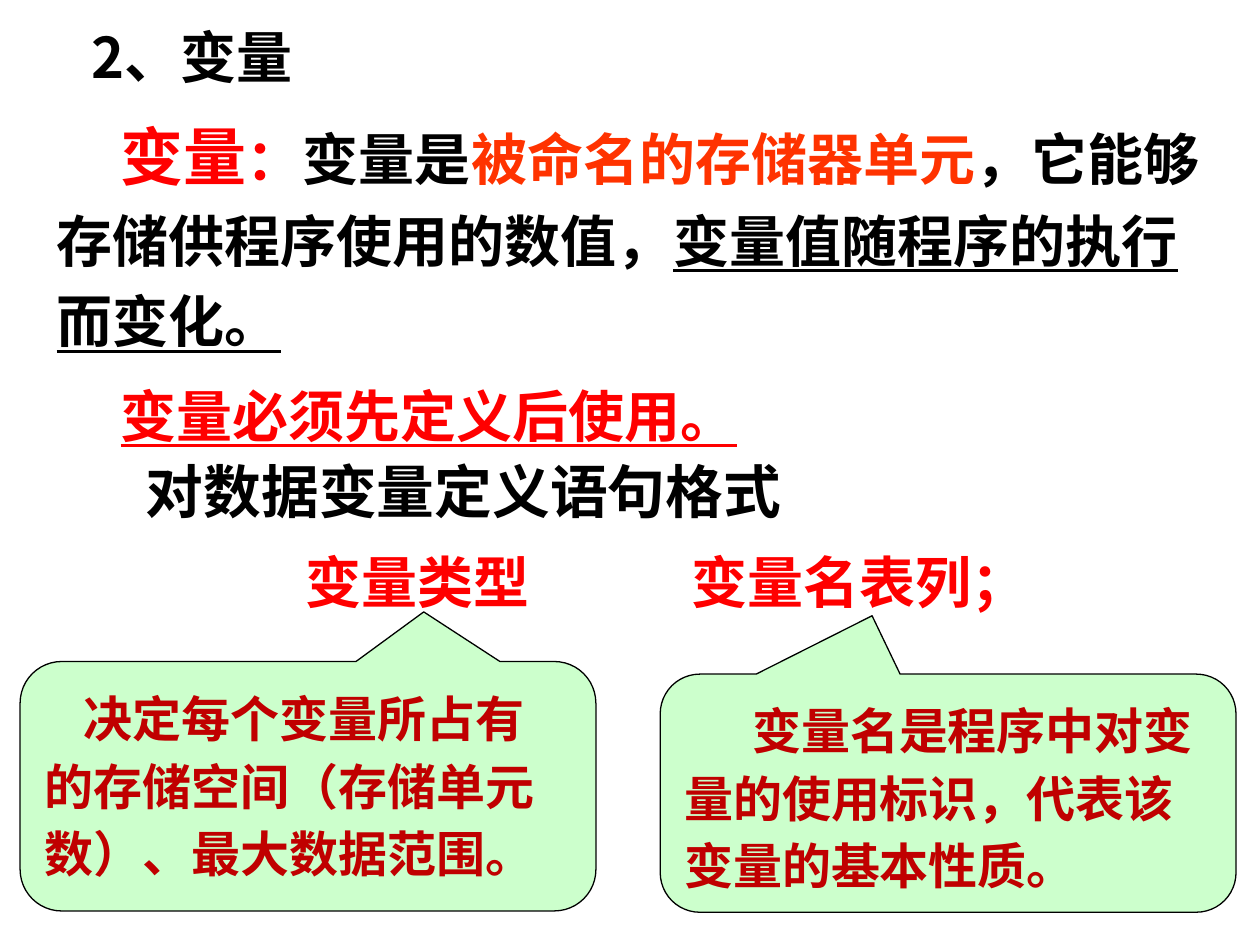
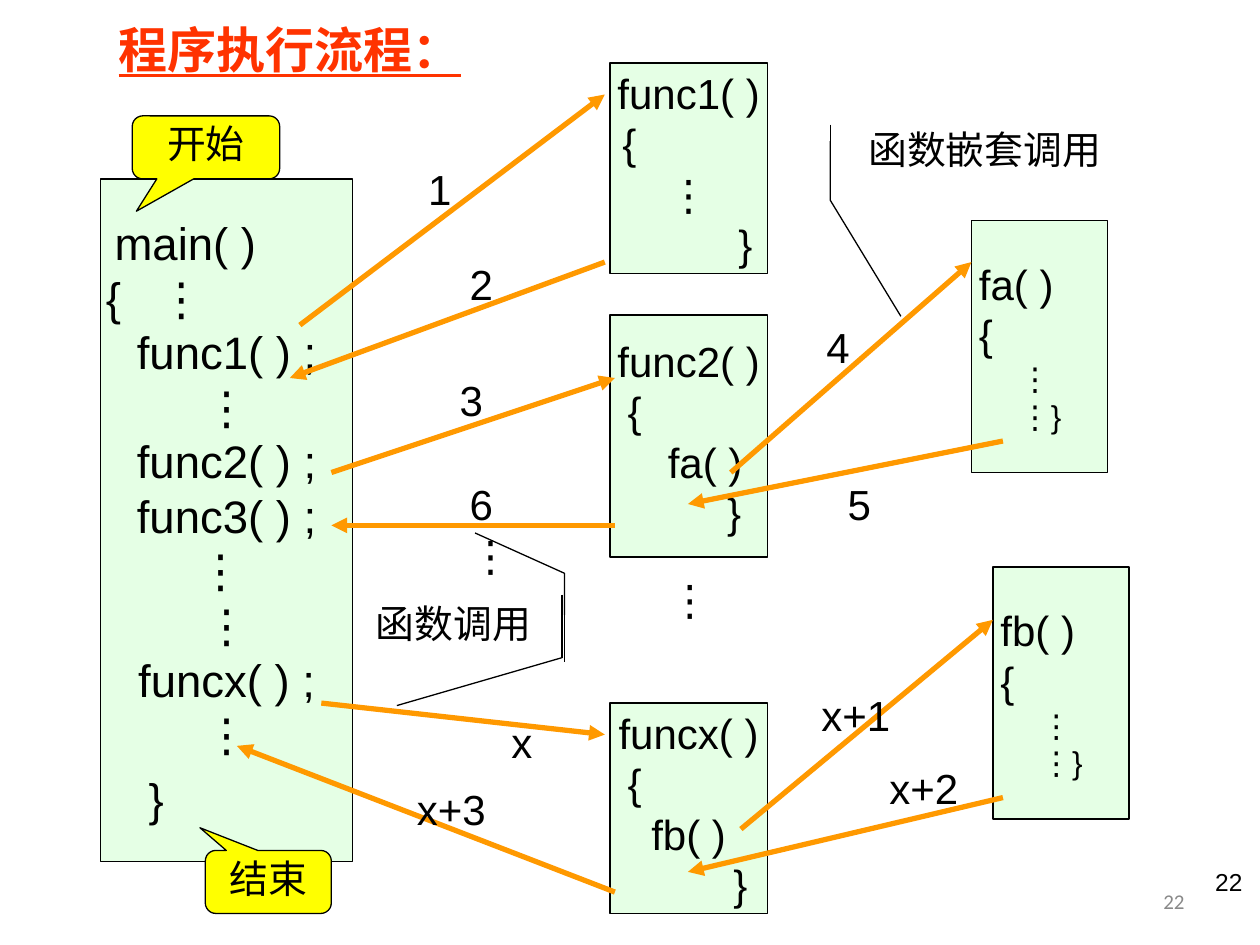
"""Builds two slides on variables and on the flow of function calls."""
from dataclasses import dataclass
from typing import NamedTuple, Optional

import pptx
import pptx.dml.color
import pptx.enum.shapes
import pptx.enum.text
import pptx.oxml.ns
import pptx.util
from lxml import etree

COLUMNS, ROWS = 100, 75
SLIDE_WIDTH, SLIDE_HEIGHT = pptx.util.Inches(10), pptx.util.Inches(7.5)
CJK_FONT = "Noto Sans CJK SC"
BLACK, RED, ORANGE_RED, DARK_RED = "000000", "FF0000", "FF3300", "C00000"
GREEN, YELLOW, ORANGE, GRAY = "CCFFCC", "FFFF00", "FF9900", "898989"
ALIGN = pptx.enum.text.PP_ALIGN
ANCHOR = pptx.enum.text.MSO_ANCHOR
SHAPE = pptx.enum.shapes.MSO_SHAPE


class Area(NamedTuple):
    """Left, top, width and height in grid columns and rows."""
    left: float
    top: float
    width: float
    height: float


class Point(NamedTuple):
    """A place in grid columns and rows."""
    column: float
    row: float


@dataclass(frozen=True)
class Run:
    """A piece of text in one style."""
    text: str
    size: float = 24
    color: str = BLACK
    font: str = "Arial"
    bold: bool = False
    underline: bool = False


@dataclass(frozen=True)
class Line:
    """A paragraph; left is the wrapped edge and first the shift of its first line."""
    runs: tuple[Run, ...]
    align: ALIGN = ALIGN.LEFT
    left: float = 0
    first: float = 0
    spacing: Optional[float] = None
    before: float = 0


@dataclass(frozen=True)
class Callout:
    """A rounded speech bubble with its tip adjustments."""
    area: Area
    tip: tuple[float, float]
    fill: str
    line: Line


@dataclass(frozen=True)
class CodeBox:
    """A function body shown in a box."""
    area: Area
    lines: tuple[Line, ...]


@dataclass(frozen=True)
class Call:
    """An arrow between functions with its step label."""
    start: Point
    end: Point
    label: str
    label_at: Point
    label_width: float = 3.3


@dataclass(frozen=True)
class Leader:
    """A bent leader line with an accent bar."""
    points: tuple[Point, ...]
    bar_top: float


def color(value: str) -> pptx.dml.color.RGBColor:
    """Turn a hex string into a colour."""
    return pptx.dml.color.RGBColor.from_string(value)


def across(columns: float) -> int:
    """Convert columns to a length."""
    return round(SLIDE_WIDTH * columns / COLUMNS)


def down(rows: float) -> int:
    """Convert rows to a length."""
    return round(SLIDE_HEIGHT * rows / ROWS)


def place(area: Area) -> tuple[int, int, int, int]:
    """Convert an area to lengths."""
    return across(area.left), down(area.top), across(area.width), down(area.height)


def add_child(parent, tag: str, **attributes: str):
    """Append an XML child in the drawing namespace."""
    return etree.SubElement(parent, pptx.oxml.ns.qn(tag), attributes)


def write(frame, lines: tuple[Line, ...], anchor=ANCHOR.TOP, wrap: bool = True) -> None:
    """Fill a text frame with paragraphs, run by run."""
    frame.word_wrap = wrap
    frame.vertical_anchor = anchor
    for number, line in enumerate(lines):
        paragraph = frame.add_paragraph() if number else frame.paragraphs[0]
        paragraph.alignment = line.align
        paragraph.line_spacing = line.spacing
        paragraph.space_before = pptx.util.Pt(line.before)
        properties = paragraph._p.get_or_add_pPr()
        properties.set("marL", str(across(line.left)))
        properties.set("indent", str(across(line.first)))
        for piece in line.runs:
            run = paragraph.add_run()
            run.text = piece.text
            run.font.size = pptx.util.Pt(piece.size)
            run.font.name = piece.font
            run.font.bold = piece.bold
            run.font.underline = piece.underline
            run.font.color.rgb = color(piece.color)
            add_child(run._r.get_or_add_rPr(), "a:ea", typeface=CJK_FONT)


def add_text(slide, area: Area, *lines: Line, anchor=ANCHOR.TOP, wrap: bool = True) -> None:
    """Add a text box."""
    write(slide.shapes.add_textbox(*place(area)).text_frame, lines, anchor, wrap)


def add_box(slide, kind, area: Area, fill: str):
    """Add a filled shape with a thin black outline."""
    shape = slide.shapes.add_shape(kind, *place(area))
    shape.shadow.inherit = False
    shape.fill.solid()
    shape.fill.fore_color.rgb = color(fill)
    shape.line.color.rgb = color(BLACK)
    shape.line.width = pptx.util.Pt(0.75)
    return shape


def add_callout(slide, callout: Callout) -> None:
    """Add a speech bubble."""
    shape = add_box(slide, SHAPE.ROUNDED_RECTANGULAR_CALLOUT, callout.area, callout.fill)
    for number, value in enumerate(callout.tip):
        shape.adjustments[number] = value
    write(shape.text_frame, (callout.line,))


def add_code_box(slide, box: CodeBox) -> None:
    """Add a half-transparent box of code."""
    shape = add_box(slide, SHAPE.RECTANGLE, box.area, GREEN)
    add_child(shape._element.spPr.find(".//" + pptx.oxml.ns.qn("a:srgbClr")), "a:alpha", val="50000")
    shape.text_frame.margin_left = shape.text_frame.margin_right = 0
    write(shape.text_frame, box.lines, ANCHOR.MIDDLE)


def add_line(slide, start: Point, end: Point, line_color: str, width: float, arrow: bool = False) -> None:
    """Add a straight line, with an arrowhead at its end if asked."""
    connector = slide.shapes.add_connector(
        pptx.enum.shapes.MSO_CONNECTOR.STRAIGHT,
        across(start.column), down(start.row), across(end.column), down(end.row))
    connector.line.color.rgb = color(line_color)
    connector.line.width = pptx.util.Pt(width)
    if arrow:
        add_child(connector.line._get_or_add_ln(), "a:tailEnd", type="triangle")
    add_child(connector._element.spPr, "a:effectLst")


def add_leader(slide, leader: Leader) -> None:
    """Add a bent leader and its accent bar."""
    start, *others = [(across(point.column), down(point.row)) for point in leader.points]
    builder = slide.shapes.build_freeform(*start)
    builder.add_line_segments(others, close=False)
    shape = builder.convert_to_shape()
    shape.shadow.inherit = False
    shape.fill.background()
    shape.line.color.rgb = color(BLACK)
    shape.line.width = pptx.util.Pt(0.75)
    column = leader.points[0].column
    add_line(slide, Point(column, leader.bar_top), Point(column, leader.bar_top + 5), BLACK, 0.75)


def code(text: str, left: Optional[float] = None, size: float = 24, first: float = 0, before: float = 0) -> Line:
    """Make a line of code, centred unless it has a left edge."""
    align = ALIGN.CENTER if left is None else ALIGN.LEFT
    return Line((Run(text, size),), align, left or 0, first, before=before)


def note(text: str) -> Line:
    """Make a centred remark."""
    return Line((Run(text, 22.2),), ALIGN.CENTER, spacing=0.9)


def explanation(text: str, first: float) -> Line:
    """Make the text of a green callout."""
    return Line((Run(text, 28, DARK_RED, "Times New Roman", True),), first=first, spacing=1.15)


def bold(text: str, size: float = 32, run_color: str = BLACK, font: str = "Calibri", underline: bool = False) -> Run:
    """Make a bold run."""
    return Run(text, size, run_color, font, True, underline)


def nested_box(name: str, left: float, top: float) -> CodeBox:
    """Make the box of a nested function."""
    return CodeBox(Area(left, top, 10.8, 20), (
        code(f"{name}( )", 0.6), code("{", 0.6), code("⋮", 3.8, 18), code("⋮}", 3.8, 18)))


def function_box(name: str, top: float, height: float, brace: float, body: Line, end: float) -> CodeBox:
    """Make the box of a function called from main."""
    return CodeBox(Area(48.4, top, 12.5, height), (
        code(f"{name}( )"), code("{", brace), body, code("}", end)))


EXPLANATIONS = (
    Callout(Area(1.6, 52.5, 45.7, 19.8), (0.201, -0.699), GREEN,
            explanation("决定每个变量所占有的存储空间（存储单元数）、最大数据范围。", 3.1)),
    Callout(Area(52.4, 53.5, 45.7, 18.9), (-0.132, -0.745), GREEN,
            explanation("变量名是程序中对变量的使用标识，代表该变量的基本性质。", 5.4)),
)
MARKERS = (
    Callout(Area(10.5, 9.2, 11.7, 5), (-0.472, 1.014), YELLOW, note("开始")),
    Callout(Area(16.3, 67.5, 10, 5), (-0.543, -0.861), YELLOW, note("结束")),
)
CODE_BOXES = (
    CodeBox(Area(8, 14.2, 20, 54.2), (
        code("main( )", 1.1, 26), code("{\t⋮", 4.6, 26, -4.2),
        *(code(text, size=26) for text in ("func1( ) ;", "⋮", "func2( ) ;", "func3( ) ;")),
        code("⋮", 7.7, 26),
        *(code(text, size=26) for text in ("⋮", "funcx( ) ;", "⋮")),
        code("}", 3.8, 26, before=6))),
    function_box("func1", 5, 16.7, 1, code("⋮"), 10.2),
    function_box("func2", 25, 19.2, 1.4, code("fa( )", 4.6), 9.3),
    function_box("funcx", 55.8, 16.7, 1.4, code("fb( )"), 9.8),
    nested_box("fa", 77.1, 17.5),
    nested_box("fb", 78.8, 45),
)
LEADERS = (
    Leader((Point(65.9, 11.2), Point(65.9, 15.9), Point(71.5, 25.1)), 9.9),
    Leader((Point(44.8, 48.8), Point(44.8, 45.5), Point(37.7, 42.3)), 47.5),
    Leader((Point(44.6, 48.4), Point(44.6, 52.2), Point(31.5, 56)), 47.2),
)
CALLS = (
    Call(Point(23.8, 25.8), Point(48, 7.5), "1", Point(33, 12.5)),
    Call(Point(48, 20.8), Point(23, 30), "2", Point(36.3, 20)),
    Call(Point(26.3, 37.5), Point(48.8, 30), "3", Point(35.5, 29.2)),
    Call(Point(48.8, 70.8), Point(18.8, 59.2), "x+3", Point(32.1, 61.7), 7.5),
    Call(Point(79.6, 63.3), Point(54.6, 69.2), "x+2", Point(69.6, 60), 7.5),
    Call(Point(58.8, 65.8), Point(78.8, 49.2), "x+1", Point(64.2, 54.2), 7.5),
    Call(Point(25.5, 55.8), Point(48, 58.3), "x", Point(39.6, 56.4)),
    Call(Point(48.8, 41.7), Point(26.3, 41.7), "6⋮", Point(36.3, 37.5)),
    Call(Point(79.6, 35), Point(54.6, 40), "5", Point(66.3, 37.5)),
    Call(Point(58, 37.5), Point(77.1, 20.8), "4", Point(64.6, 25)),
)


def build_variables(slide) -> None:
    """Explain what a variable is and how it is defined."""
    add_text(slide, Area(6.3, 1.3, 87.5, 6.3), Line((bold("2、变量", font=CJK_FONT),)), anchor=ANCHOR.BOTTOM)
    definition = (
        bold("变量", 36, RED), bold("：", run_color=RED), bold("变量是"),
        bold("被命名的存储器单元", run_color=ORANGE_RED), bold("，它能够存储供程序使用的数值，"),
        bold("变量值随程序的执行而变化。", underline=True))
    rule = (bold("变量必须先定义后使用。", run_color=RED, underline=True),)
    add_text(slide, Area(3.5, 7.6, 92.9, 29.1),
             *(Line(runs, first=5.1, spacing=1.2, before=8) for runs in (definition, rule)))
    add_text(slide, Area(10.6, 35.2, 62.2, 7), Line((bold("对数据变量定义语句格式", 33),)), anchor=ANCHOR.BOTTOM)
    for callout in EXPLANATIONS:
        add_callout(slide, callout)
    for text, left, width in (("变量类型", 23.3, 19.8), ("变量名表列；", 53.9, 31.5)):
        add_text(slide, Area(left, 43, width, 6.4), Line((bold(text, 32, RED, "DejaVu Sans"),)), wrap=False)


def build_flow(slide) -> None:
    """Show the order in which functions call each other."""
    add_text(slide, Area(71.7, 69.5, 23.3, 4), Line((Run("22", 12, GRAY, "Calibri"),), ALIGN.RIGHT),
             anchor=ANCHOR.MIDDLE)
    add_text(slide, Area(76.3, 68.3, 23.3, 5.2), Line((Run("22", 14),), ALIGN.RIGHT))
    title = bold("程序执行流程：", 28, ORANGE_RED, underline=True)
    add_text(slide, Area(5.1, 0.1, 35.8, 7.5), Line((title,), ALIGN.CENTER), anchor=ANCHOR.MIDDLE)
    for box in CODE_BOXES:
        add_code_box(slide, box)
    add_text(slide, Area(52.1, 45, 5, 5), code("⋮", 0))
    add_text(slide, Area(66.7, 9.9, 22.9, 5), note("函数嵌套调用"))
    add_text(slide, Area(28, 47.5, 16, 5), note("函数调用"))
    for leader in LEADERS:
        add_leader(slide, leader)
    for call in CALLS:
        add_line(slide, call.start, call.end, ORANGE, 3, arrow=True)
        add_text(slide, Area(*call.label_at, call.label_width, 5), code(call.label, 0))
    for marker in MARKERS:
        add_callout(slide, marker)


def main() -> None:
    """Build and save the presentation."""
    presentation = pptx.Presentation()
    presentation.slide_width, presentation.slide_height = SLIDE_WIDTH, SLIDE_HEIGHT
    for build in (build_variables, build_flow):
        build(presentation.slides.add_slide(presentation.slide_layouts[6]))
    presentation.save("out.pptx")


if __name__ == "__main__":
    main()
